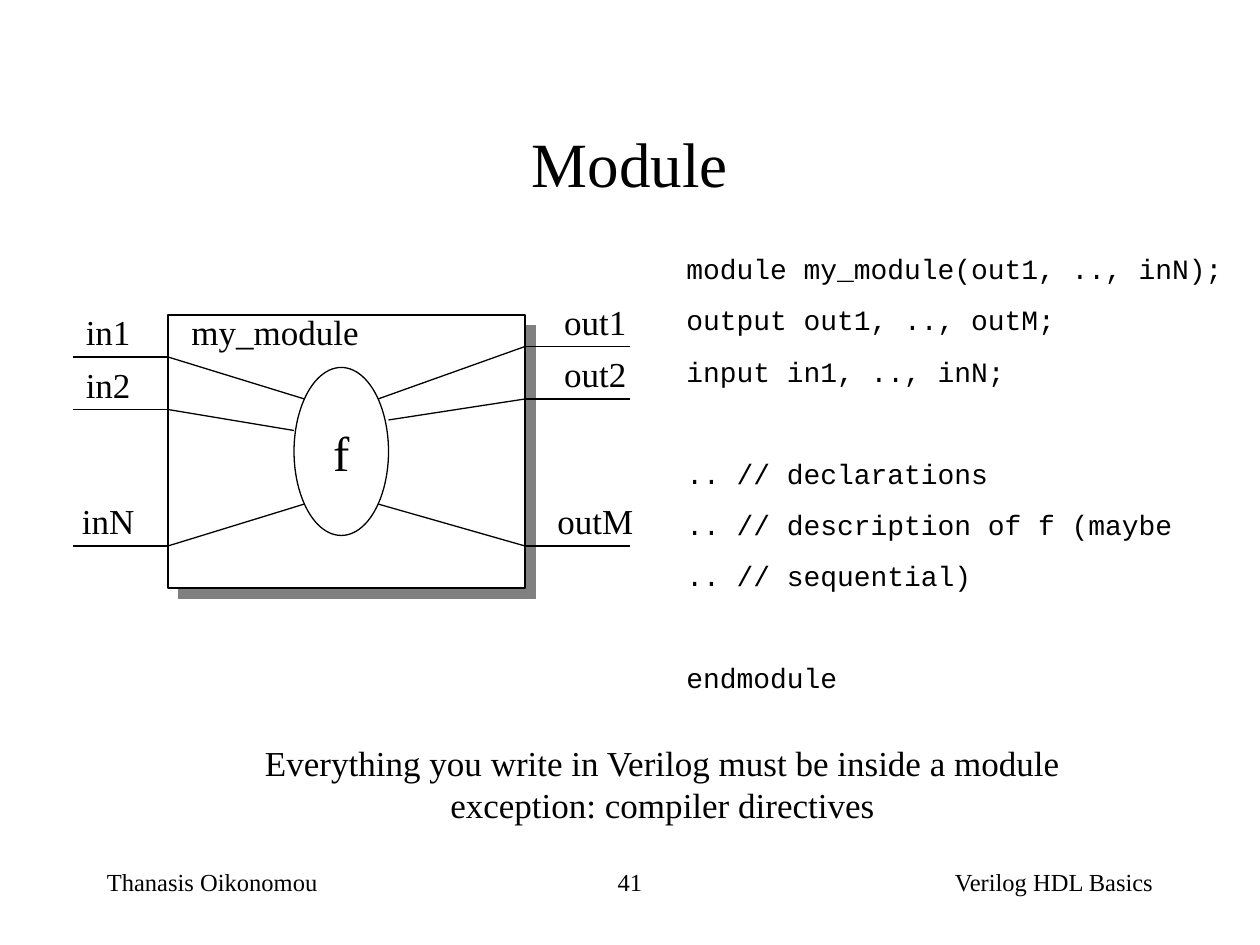
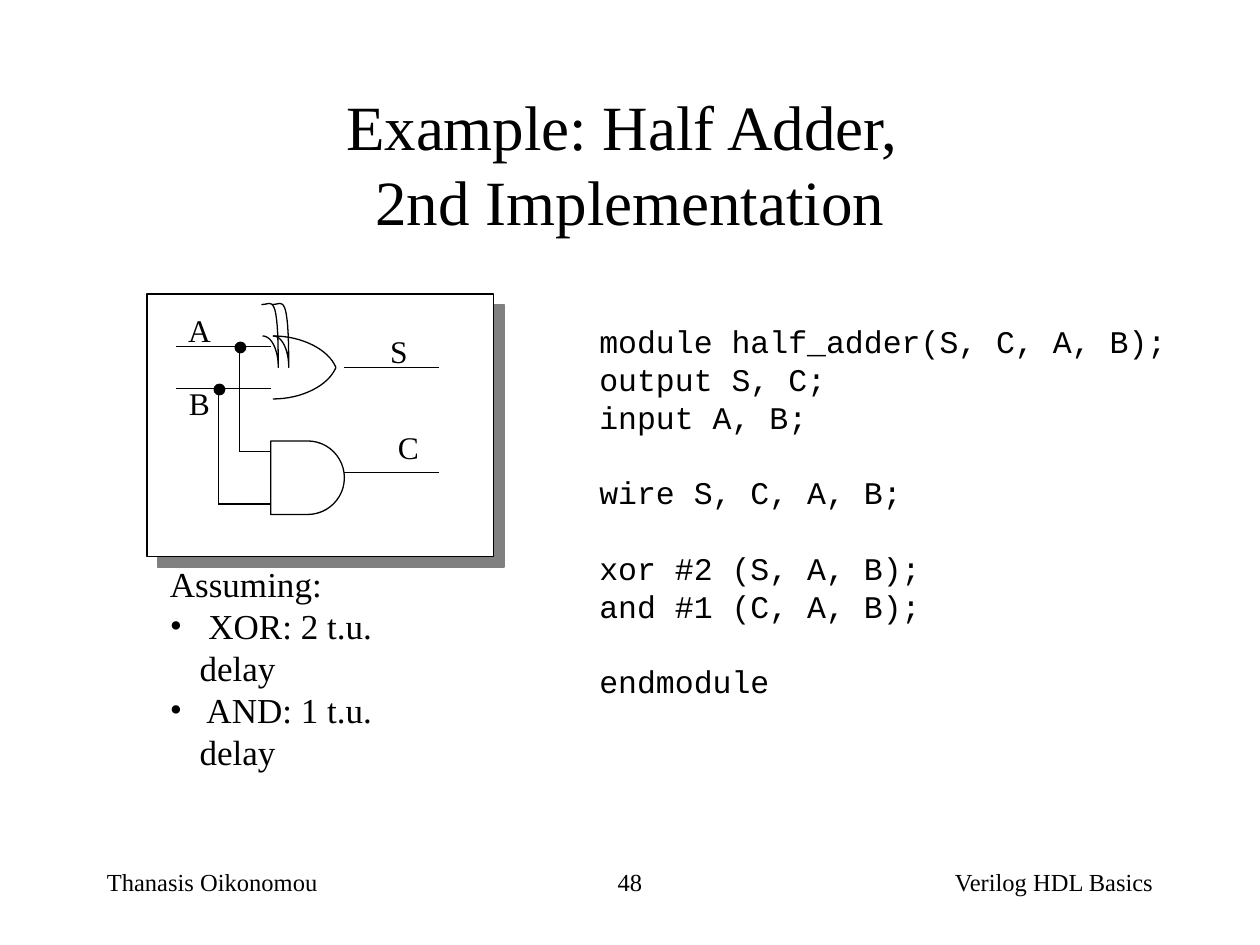
import dataclasses

import pptx
import pptx.dml.color
import pptx.enum.shapes
import pptx.enum.text
import pptx.oxml.ns
import pptx.slide
import pptx.util
from lxml import etree

BLACK = pptx.dml.color.RGBColor(0, 0, 0)
WHITE = pptx.dml.color.RGBColor(255, 255, 255)
GREY = pptx.dml.color.RGBColor(128, 128, 128)
SERIF = "Times New Roman"
MONO = "Courier New"
STEP = 2.54 / 12
LEADING = 1.2
ALIGN = pptx.enum.text.PP_ALIGN
KIND = pptx.enum.shapes.MSO_SHAPE
Point = tuple[float, float]


@dataclasses.dataclass
class Box:
    left: float
    top: float
    width: float
    height: float

    def place(self) -> list[int]:
        return [grid(side) for side in (self.left, self.top, self.width, self.height)]


@dataclasses.dataclass
class Label:
    text: str
    mid: float
    top: float


@dataclasses.dataclass
class Wire:
    start: Point
    end: Point


@dataclasses.dataclass
class Text:
    lines: list[str]
    box: Box
    size: int
    font: str = SERIF
    align: ALIGN = ALIGN.LEFT
    middle: bool = True
    wrap: bool = False
    gap: float = 0


def grid(steps: float) -> int:
    return pptx.util.Cm(steps * STEP)


def add_xml(parent, tag: str, **values):
    return etree.SubElement(parent, pptx.oxml.ns.qn(tag), {k: str(v) for k, v in values.items()})


def style(par, size: int, font: str, align: ALIGN) -> None:
    par.alignment = align
    par.line_spacing = pptx.util.Pt(size * LEADING)
    par.font.size = pptx.util.Pt(size)
    par.font.name = font
    par.font.color.rgb = BLACK


def fill_text(frame, text: Text) -> None:
    frame.word_wrap = text.wrap
    anchor = pptx.enum.text.MSO_ANCHOR
    frame.vertical_anchor = anchor.MIDDLE if text.middle else anchor.TOP
    before = 0
    first = True
    for line in text.lines:
        if not line:
            before += text.size * LEADING + text.gap
            continue
        par = frame.paragraphs[0] if first else frame.add_paragraph()
        par.text = line
        style(par, text.size, text.font, text.align)
        par.space_before = pptx.util.Pt(before)
        before = text.gap
        first = False


def add_text(slide: pptx.slide.Slide, text: Text):
    frame = slide.shapes.add_textbox(*text.box.place()).text_frame
    fill_text(frame, text)
    return frame


def add_label(slide: pptx.slide.Slide, label: Label, size: int) -> None:
    width = len(label.text) * 2 + 4
    box = Box(label.mid - width / 2, label.top, width, size * LEADING / 6 + 1.2)
    add_text(slide, Text([label.text], box, size, align=ALIGN.CENTER))


def draw_line(shape) -> None:
    shape.line.color.rgb = BLACK
    shape.line.width = pptx.util.Pt(0.75)


def add_wire(slide: pptx.slide.Slide, wire: Wire) -> None:
    ends = [grid(steps) for steps in (*wire.start, *wire.end)]
    line = slide.shapes.add_connector(pptx.enum.shapes.MSO_CONNECTOR.STRAIGHT, *ends)
    draw_line(line)
    add_xml(line._element.spPr, "a:effectLst")


def add_form(slide: pptx.slide.Slide, kind: KIND, box: Box, fill=WHITE):
    shape = slide.shapes.add_shape(kind, *box.place())
    shape.shadow.inherit = False
    if fill is None:
        shape.fill.background()
    else:
        shape.fill.solid()
        shape.fill.fore_color.rgb = fill
    draw_line(shape)
    return shape


def add_frame(slide: pptx.slide.Slide, box: Box) -> None:
    frame = add_form(slide, KIND.RECTANGLE, box)
    effects = frame._element.spPr.find(pptx.oxml.ns.qn("a:effectLst"))
    shadow = add_xml(effects, "a:outerShdw", blurRad=0, dist=pptx.util.Pt(8.5),
                     dir=45 * 60000, algn="ctr", rotWithShape=0)
    add_xml(shadow, "a:srgbClr", val=GREY)


def bend(a: Point, b: Point, c: Point, d: Point, count: int = 16) -> list[Point]:
    points = []
    for i in range(count + 1):
        t = i / count
        u = 1 - t
        weights = (u ** 3, 3 * u * u * t, 3 * u * t * t, t ** 3)
        points.append(tuple(sum(w * p[axis] for w, p in zip(weights, (a, b, c, d)))
                            for axis in (0, 1)))
    return points


def add_curve(slide: pptx.slide.Slide, points: list[Point]) -> None:
    spots = [(grid(x), grid(y)) for x, y in points]
    form = slide.shapes.build_freeform(*spots[0])
    form.add_line_segments(spots[1:], close=False)
    curve = form.convert_to_shape()
    curve.shadow.inherit = False
    curve.fill.background()
    draw_line(curve)


def add_slide(deck, title: str, number: int) -> pptx.slide.Slide:
    slide = deck.slides.add_slide(deck.slide_layouts[5])
    head = slide.shapes.title
    box = Box(9, 8, 102, 15)
    head.left, head.top, head.width, head.height = box.place()
    head.text_frame.auto_size = pptx.enum.text.MSO_AUTO_SIZE.NONE
    fill_text(head.text_frame, Text([title], box, 36, align=ALIGN.CENTER, wrap=True))
    for words, left, width, align in (
        ("Thanasis Oikonomou", 9, 25, ALIGN.LEFT),
        (str(number), 47.5, 25, ALIGN.CENTER),
        ("Verilog HDL Basics", 73, 38, ALIGN.RIGHT),
    ):
        foot = Box(left, 82, width, 6)
        add_text(slide, Text([words], foot, 14, align=align, middle=False, wrap=True))
    return slide


def module_slide(deck) -> None:
    slide = add_slide(deck, "Module", 41)
    add_frame(slide, Box(16, 30, 34, 26))
    core = Box(28, 35, 9, 16)
    oval = add_form(slide, KIND.OVAL, core)
    fill_text(oval.text_frame, Text(["f"], core, 28, align=ALIGN.CENTER))

    ports = [
        ("in1", 34, (29, 38)), ("in2", 39, (28, 41)), ("inN", 52, (29, 48)),
        ("out1", 33, (36, 38)), ("out2", 38, (37, 40)), ("outM", 52, (36, 48)),
    ]
    for name, y, touch in ports:
        edge, tip, mid = (16, 7, 10.3) if name.startswith("in") else (50, 60, 56.7)
        add_wire(slide, Wire((tip, y), (edge, y)))
        add_wire(slide, Wire((edge, y), touch))
        add_label(slide, Label(name, mid, y - 5), 20)
    add_label(slide, Label("my_module", 26.2, 29), 20)

    code = [
        "module my_module(out1, .., inN);",
        "output out1, .., outM;",
        "input in1, .., inN;",
        "",
        ".. // declarations",
        ".. // description of f (maybe",
        ".. // sequential)",
        "",
        "endmodule",
    ]
    add_text(slide, Text(code, Box(64.2, 23.4, 55.5, 43.3), 16, MONO, gap=10))
    note = ["Everything you write in Verilog must be inside a module",
            "exception: compiler directives"]
    add_text(slide, Text(note, Box(22.1, 70, 82, 9.2), 20, align=ALIGN.CENTER))


def adder_slide(deck) -> None:
    slide = add_slide(deck, "Example: Half Adder, \v2nd Implementation", 48)
    notes = ["Assuming:", " XOR: 2 t.u. delay", " AND: 1 t.u. delay"]
    frame = add_text(slide, Text(notes, Box(15, 57, 28.2, 13.2), 20, wrap=True))
    for par in frame.paragraphs[1:]:
        props = par._p.get_or_add_pPr()
        props.set("marL", str(pptx.util.Cm(0.6)))
        props.set("indent", str(-pptx.util.Cm(0.6)))
        add_xml(props, "a:buFont", typeface=SERIF)
        add_xml(props, "a:buChar", char="•")

    code = [
        "module half_adder(S, C, A, B);",
        "output S, C;",
        "input A, B;",
        "",
        "wire S, C, A, B;",
        "",
        "xor #2 (S, A, B);",
        "and #1 (C, A, B);",
        "",
        "endmodule",
    ]
    add_text(slide, Text(code, Box(55.9, 30.1, 59, 37.2), 18, MONO))

    add_frame(slide, Box(14, 28, 33, 25))
    add_form(slide, KIND.FLOWCHART_DELAY, Box(25.8, 42, 7, 7), None)
    for y, branch, low in ((33, 22.8, 43), (37, 20.8, 48)):
        add_wire(slide, Wire((16.8, y), (25.8, y)))
        add_wire(slide, Wire((branch, y), (branch, low)))
        add_wire(slide, Wire((branch, low), (25.8, low)))
        add_form(slide, KIND.OVAL, Box(branch - 0.4, y - 0.4, 1, 1), BLACK)
    for y in (35, 45):
        add_wire(slide, Wire((32.8, y), (41.8, y)))
    for label in (Label("A", 19, 29), Label("B", 19, 36),
                  Label("S", 38, 31), Label("C", 38.9, 40.2)):
        add_label(slide, label, 18)

    back = bend((26, 32), (26.9, 32), (27.5, 33.4), (27.5, 35))
    back += bend((27.5, 35), (27.5, 27.7), (26.9, 29), (26, 29))
    back.append((25.9, 29))
    nose = bend((26, 32), (28.8, 32), (31.3, 33.3), (32, 35))
    add_curve(slide, back)
    add_curve(slide, [(x - 1, y) for x, y in back])
    add_curve(slide, nose)
    add_curve(slide, [(x, 70 - y) for x, y in nose])


def main() -> None:
    deck = pptx.Presentation()
    deck.slide_width = pptx.util.Cm(25.4)
    deck.slide_height = pptx.util.Cm(19.05)
    module_slide(deck)
    adder_slide(deck)
    deck.save("out.pptx")


if __name__ == "__main__":
    main()
